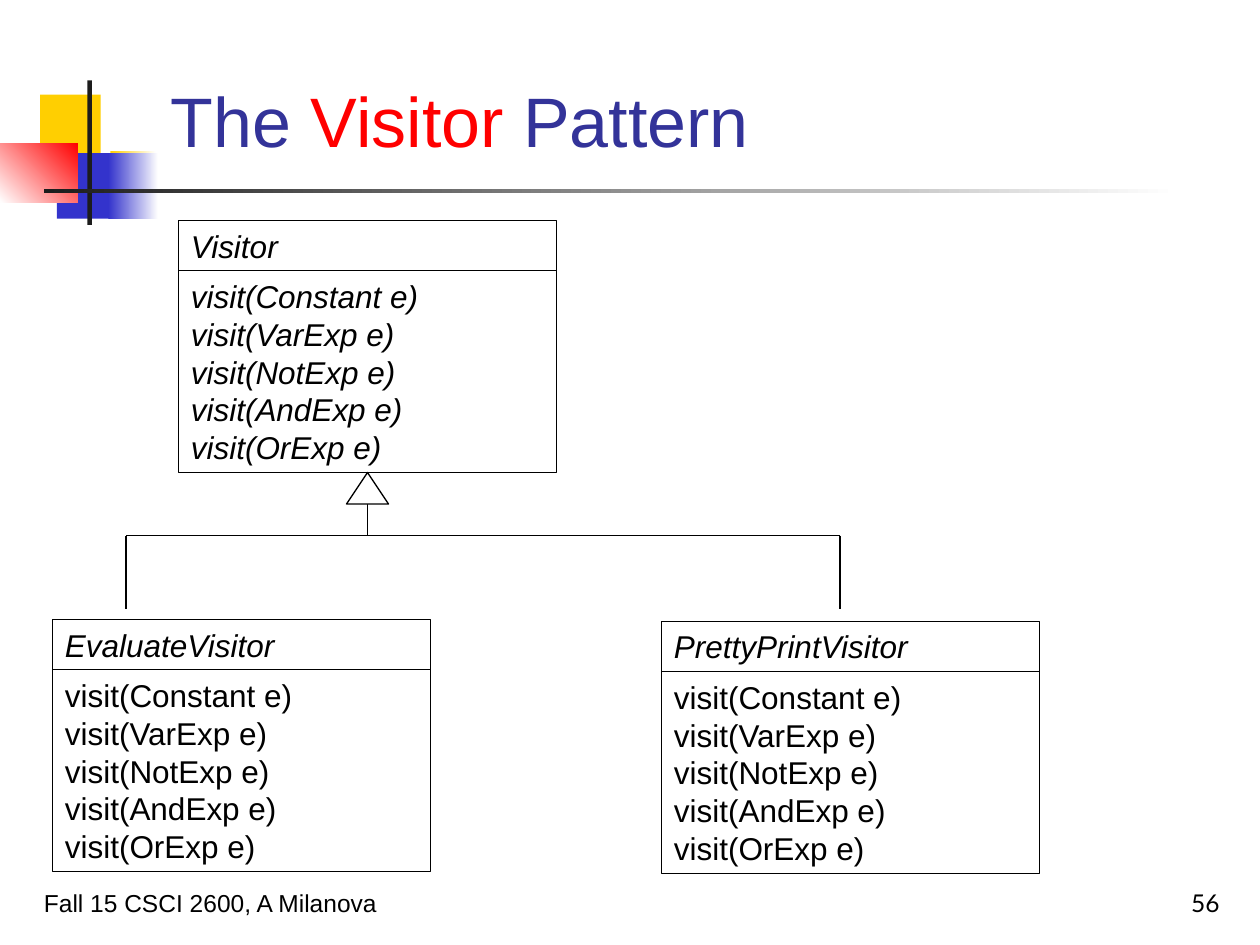
from dataclasses import dataclass
from pptx import Presentation
from pptx.dml.color import RGBColor as RGB
from pptx.enum.shapes import MSO_CONNECTOR as Link, MSO_SHAPE as Form
from pptx.enum.text import MSO_ANCHOR as Anchor, PP_ALIGN as Align
from pptx.oxml.ns import qn
from pptx.util import Pt
from lxml.etree import SubElement


@dataclass(frozen=True)
class Theme:
    """Colours, fonts and type sizes of the slide."""
    ink: str = "000000"
    paper: str = "FFFFFF"
    dark: str = "1C1C1C"
    gold: str = "FFCF01"
    blue: str = "3333CC"
    red: str = "FF0000"
    navy: str = "333399"
    font: str = "Arial"
    alt: str = "Lato"
    head: float = 40
    body: float = 18
    foot: float = 14
    lead: float = 21.6
    rule: float = 0.75


T = Theme()
CALLS = [f"visit({kind} e)" for kind in ("Constant", "VarExp", "NotExp", "AndExp", "OrExp")]
WIDE, NAME_H, CALL_H = 216, 28.8, 115.2


def tint(hue):
    """Return the colour object for a hex string."""
    return RGB.from_string(hue)


def write(para, text, size, hue=T.ink, font=T.font, slant=False):
    """Add one formatted run to a paragraph."""
    run = para.add_run()
    run.text = text
    run.font.name, run.font.size, run.font.italic = font, Pt(size), slant
    run.font.color.rgb = tint(hue)


def block(slide, area, fill=None, fade=None, line=None, form=Form.RECTANGLE):
    """Add a preset shape with a plain, faded or empty fill."""
    shape = slide.shapes.add_shape(form, *map(Pt, area))
    shape.shadow.inherit = False
    if fade is not None:
        shape.fill.gradient()
        shape.fill.gradient_angle = fade
        for stop, hue in zip(shape.fill.gradient_stops, (fill, T.paper)):
            stop.color.rgb = tint(hue)
    elif fill:
        shape.fill.solid()
        shape.fill.fore_color.rgb = tint(fill)
    else:
        shape.fill.background()
    if line:
        shape.line.color.rgb = tint(line)
        shape.line.width = Pt(T.rule)
    else:
        shape.line.fill.background()
    return shape


def cell(slide, area, lines, slant):
    """Add one outlined compartment of a class box."""
    shape = block(slide, area, line=T.ink)
    frame = shape.text_frame
    frame.word_wrap, frame.vertical_anchor = True, Anchor.TOP
    para = frame.paragraphs[0]
    para.alignment, para.line_spacing = Align.LEFT, Pt(T.lead)
    for rank, text in enumerate(lines):
        if rank:
            para.add_line_break()
        write(para, text, T.body, slant=slant)
    return shape


def klass(slide, left, top, name, slant=False):
    """Add a class box and return its method compartment."""
    cell(slide, (left, top, WIDE, NAME_H), [name], True)
    return cell(slide, (left, top + NAME_H, WIDE, CALL_H), CALLS, slant)


def wire(slide, start, end):
    """Add a thin straight connector."""
    link = slide.shapes.add_connector(Link.STRAIGHT, *map(Pt, start + end))
    link.line.color.rgb = tint(T.ink)
    link.line.width = Pt(T.rule)
    SubElement(link._element.spPr, qn("a:effectLst"))
    return link


def note(slide, area, text, font, align):
    """Add a footer text box."""
    frame = slide.shapes.add_textbox(*map(Pt, area)).text_frame
    frame.word_wrap, frame.vertical_anchor = True, Anchor.BOTTOM
    para = frame.paragraphs[0]
    para.alignment = align
    write(para, text, T.foot, font=font)


def decor(slide):
    """Add the coloured squares and rules beside the title."""
    for area, hue, fade in (
        ((23, 54, 34.5, 37.5), T.gold, None),
        ((63, 86.5, 26, 37.5), T.gold, 0),
        ((32.5, 87.5, 33, 37.5), T.blue, None),
        ((62, 87.5, 28.5, 37.5), T.blue, 0),
        ((0, 82, 44.5, 33.5), T.red, 225),
        ((50, 46, 2.5, 82.5), T.dark, None),
        ((25.2, 108, 648, 2.4), T.dark, 0),
    ):
        block(slide, area, hue, fade)


def title(slide, area, parts):
    """Place the title and write its coloured parts."""
    head = slide.shapes.title
    head.left, head.top, head.width, head.height = map(Pt, area)
    frame = head.text_frame
    frame.word_wrap, frame.vertical_anchor = True, Anchor.BOTTOM
    para = frame.paragraphs[0]
    para.alignment = Align.LEFT
    for text, hue in parts:
        write(para, text, T.head, hue)


def tree(slide):
    """Add the three classes and the inheritance lines."""
    left, top, bar, foot = 102, 126, 306, 348
    mid, base = left + WIDE / 2, top + NAME_H + CALL_H
    root = klass(slide, left, top, "Visitor", True)
    wire(slide, (72, bar), (480, bar))
    stem = wire(slide, (mid, base), (mid, bar))
    stem.begin_connect(root, 2)
    block(slide, (mid - 12, base, 24, 18), T.paper, line=T.ink, form=Form.ISOSCELES_TRIANGLE)
    for side, high, name, drop in (
        (30, 354, "EvaluateVisitor", 72),
        (378, 355, "PrettyPrintVisitor", 480),
    ):
        klass(slide, side, high, name)
        wire(slide, (drop, bar), (drop, foot))


def main():
    """Build and save the slide."""
    deck = Presentation()
    deck.slide_width, deck.slide_height = Pt(720), Pt(540)
    slide = deck.slides.add_slide(deck.slide_layouts[5])
    decor(slide)
    title(slide, (90.5, 16.5, 613.5, 79.5),
          [("The ", T.navy), ("Visitor", T.red), (" Pattern", T.navy)])
    note(slide, (18, 492, 372, 36), "Fall 15 CSCI 2600, A Milanova", T.font, Align.LEFT)
    note(slide, (554, 492, 150, 36), "56", T.alt, Align.RIGHT)
    tree(slide)
    deck.save("out.pptx")


if __name__ == "__main__":
    main()
